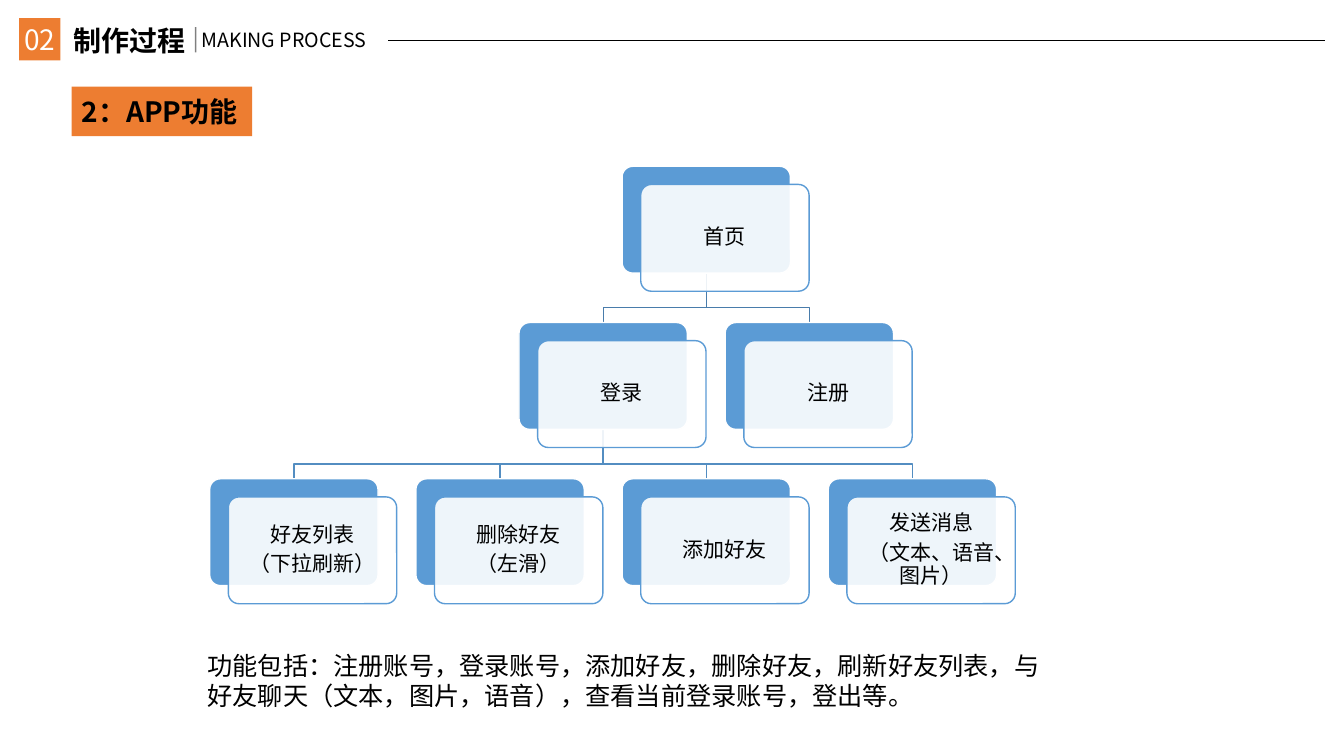
from dataclasses import dataclass

from lxml.etree import SubElement
from pptx import Presentation
from pptx.dml.color import RGBColor
from pptx.enum.shapes import MSO_CONNECTOR, MSO_SHAPE
from pptx.enum.text import MSO_ANCHOR, MSO_AUTO_SIZE, PP_ALIGN
from pptx.oxml.ns import qn
from pptx.util import Inches, Pt

MODULE = 0.1  # inches per grid column and row


@dataclass(frozen=True)
class Theme:
    ink: str = "000000"
    paper: str = "FFFFFF"
    accent: str = "ED7D31"
    node: str = "5B9BD5"
    branch_colors: tuple = ("497CAB", "538DC1")
    heading_font: str = "Noto Sans CJK SC"
    body_font: str = "Calibri"
    heading_size: int = 20
    subtitle_size: int = 14
    body_size: int = 18
    node_size: int = 15
    hairline: float = 0.5
    line: int = 1


THEME = Theme()


@dataclass(frozen=True)
class Box:
    """An area measured in grid columns and rows."""
    left: float
    top: float
    width: float
    height: float

    def inner(self, left, top, width, height):
        return Box(self.left + left, self.top + top, width, height)

    def lengths(self):
        return [Inches(MODULE * n) for n in (self.left, self.top, self.width, self.height)]


def apply(target, values):
    for name, value in values.items():
        setattr(target, name, value)


def set_alpha(fill_parent, percent):
    color = next(fill_parent.iter(qn("a:srgbClr")))
    SubElement(color, qn("a:alpha"), val=str(percent * 1000))


def write(frame, lines, size, font=THEME.body_font, color=THEME.ink, bold=False,
          align=PP_ALIGN.LEFT, frame_format=None, para_format=None):
    apply(frame, {"word_wrap": True, "auto_size": MSO_AUTO_SIZE.NONE, **(frame_format or {})})
    for index, line in enumerate(lines):
        para = frame.paragraphs[0] if index == 0 else frame.add_paragraph()
        apply(para, {"alignment": align, **(para_format or {})})
        span = para.add_run()
        span.text = line
        apply(span.font, {"name": font, "size": Pt(size), "bold": bold})
        span.font.color.rgb = RGBColor.from_string(color)
        SubElement(span.font._element, qn("a:ea"), typeface=THEME.heading_font)


def add_text(page, box, text, size, **style):
    write(page.shapes.add_textbox(*box.lengths()).text_frame, [text], size, **style)


def set_line(shape, color, width):
    shape.line.color.rgb = RGBColor.from_string(color)
    shape.line.width = Pt(width)


def add_panel(page, box, fill, line=None, kind=MSO_SHAPE.RECTANGLE):
    panel = page.shapes.add_shape(kind, *box.lengths())
    panel.shadow.inherit = False
    panel.fill.solid()
    panel.fill.fore_color.rgb = RGBColor.from_string(fill)
    if line:
        set_line(panel, line, THEME.line)
    else:
        panel.line.fill.background()
    return panel


def add_rule(page, box, width):
    left, top, across, down = box.lengths()
    rule = page.shapes.add_connector(
        MSO_CONNECTOR.STRAIGHT, left, top, left + across, top + down)
    set_line(rule, THEME.ink, width)
    SubElement(rule._element.spPr, qn("a:effectLst"))
    return rule


def add_header(page, box, number, title, subtitle):
    # Chapter number
    square = add_panel(page, box.inner(1.9, 1.8, 4.1, 4.2), THEME.accent)
    write(square.text_frame, [number], THEME.heading_size, THEME.heading_font,
          THEME.paper, align=PP_ALIGN.CENTER,
          frame_format={"margin_left": 0, "margin_right": 0, "margin_top": 0,
                        "margin_bottom": 0, "vertical_anchor": MSO_ANCHOR.MIDDLE})
    # Title and subtitle
    heading = page.shapes.title
    apply(heading, dict(zip(("left", "top", "width", "height"),
                            box.inner(6.3, 1.8, 13.8, 4.4).lengths())))
    write(heading.text_frame, [title], THEME.heading_size, THEME.heading_font, bold=True,
          frame_format={"vertical_anchor": MSO_ANCHOR.MIDDLE})
    add_text(page, box.inner(19, 2.3, 19.5, 3.4), subtitle, THEME.subtitle_size,
             font=THEME.heading_font, frame_format={"word_wrap": False})
    # Rules
    divider = add_rule(page, box.inner(19.4, 2.7, 0, 2.5), THEME.line)
    set_alpha(divider._element.spPr, 49)
    add_rule(page, box.inner(38.5, 4, 92.9, 0), THEME.hairline)


def add_section_label(page, box, text):
    add_panel(page, box.inner(0, 0, 17.9, box.height), THEME.accent)
    add_text(page, box.inner(0, 0.3, box.width, 4.4), text, THEME.heading_size,
             font=THEME.heading_font, bold=True)


def add_branch(page, parent, child, color):
    start = parent.left + parent.width / 2
    end = child.left + child.width / 2
    bottom = parent.top + parent.height
    bend = bottom + 0.7 * (child.top - bottom)
    points = [(Inches(MODULE * x), Inches(MODULE * y))
              for x, y in ((start, bottom), (start, bend), (end, bend), (end, child.top))]
    builder = page.shapes.build_freeform(*points[0])
    builder.add_line_segments(points[1:], close=False)
    branch = builder.convert_to_shape()
    branch.shadow.inherit = False
    branch.fill.background()
    set_line(branch, color, THEME.line)


def add_node(page, box, lines):
    # Solid card behind, translucent card with the text in front
    back = add_panel(page, box, THEME.node, THEME.paper, MSO_SHAPE.ROUNDED_RECTANGLE)
    front = add_panel(page, box.inner(1.85, 1.8, box.width, box.height),
                      THEME.paper, THEME.node, MSO_SHAPE.ROUNDED_RECTANGLE)
    for card in (back, front):
        card.adjustments[0] = 0.1
    set_alpha(front._element.spPr, 90)
    inset = Inches(0.09)
    write(front.text_frame, lines, THEME.node_size, align=PP_ALIGN.CENTER,
          frame_format={"margin_left": inset, "margin_right": inset, "margin_top": inset,
                        "margin_bottom": inset, "vertical_anchor": MSO_ANCHOR.MIDDLE},
          para_format={"line_spacing": 0.9, "space_after": Pt(5)})


def add_tree(page, box, nodes):
    """Each node is (column, row, parent index, lines)."""
    column_step, row_step = 20.45, 15.5
    cards = [box.inner(column * column_step, row * row_step, 16.7, 10.6)
             for column, row, _, _ in nodes]
    for card, (_, row, parent, _) in zip(cards, nodes):
        if parent is not None:
            add_branch(page, cards[parent], card, THEME.branch_colors[row - 1])
    for card, (_, _, _, lines) in zip(cards, nodes):
        add_node(page, card, lines)


def main():
    deck = Presentation()
    deck.slide_width, deck.slide_height = Inches(13.33), Inches(7.5)
    page = deck.slides.add_slide(deck.slide_layouts[5])

    add_header(page, Box(0, 0, 133.3, 8), "02", "制作过程", "MAKING PROCESS")
    add_section_label(page, Box(7.1, 8.6, 35, 4.9), "2：APP功能")
    add_tree(page, Box(20.8, 16.5, 79.9, 43.4), [
        (2, 0, None, ["首页"]),
        (1.5, 1, 0, ["登录"]),
        (2.5, 1, 0, ["注册"]),
        (0, 2, 1, ["好友列表", "（下拉刷新）"]),
        (1, 2, 1, ["删除好友", "（左滑）"]),
        (2, 2, 1, ["添加好友"]),
        (3, 2, 1, ["发送消息", "（文本、语音、图片）"]),
    ])
    # Summary
    add_text(page, Box(19.6, 64, 85, 7.1),
             "功能包括：注册账号，登录账号，添加好友，删除好友，刷新好友列表，"
             "与好友聊天（文本，图片，语音），查看当前登录账号，登出等。", THEME.body_size)

    deck.save("out.pptx")


if __name__ == "__main__":
    main()
